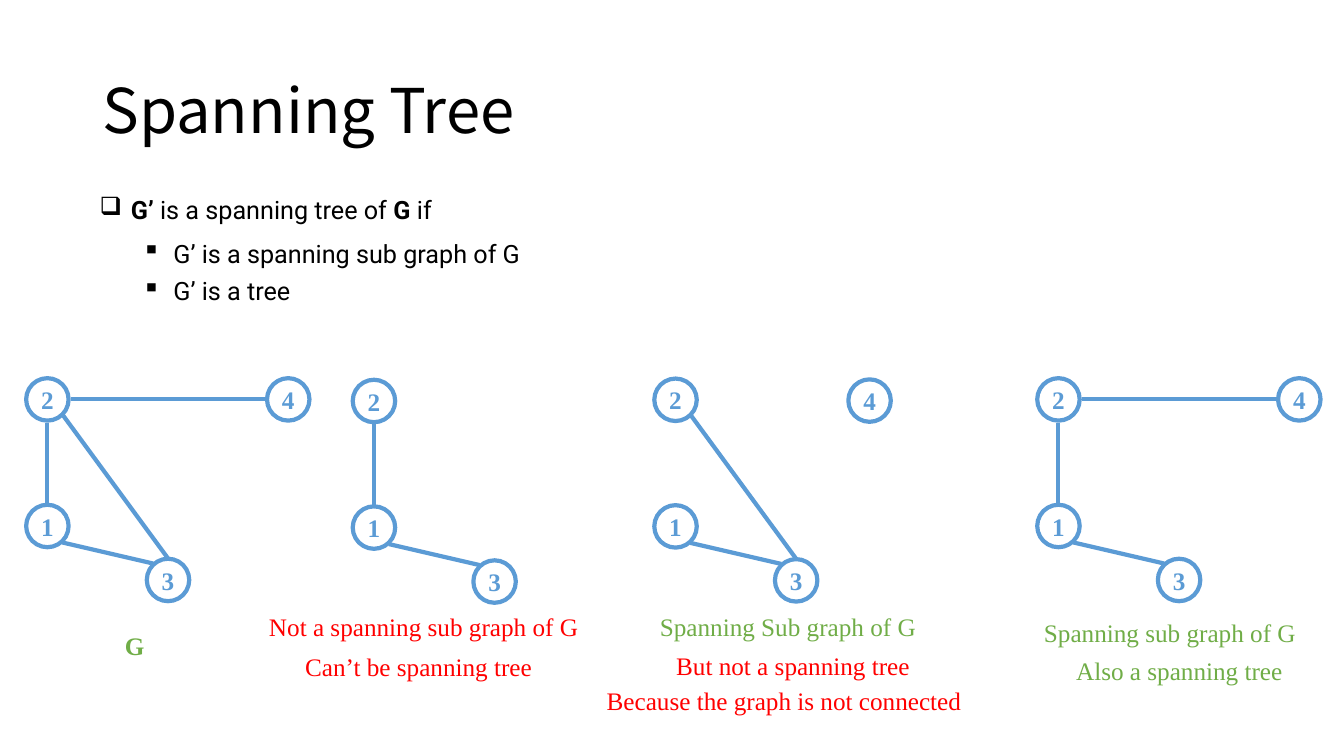
"""Builds a slide that compares a graph with spanning tree candidates."""
from lxml.etree import SubElement
from pptx import Presentation
from pptx.dml.color import RGBColor
from pptx.enum.shapes import MSO_CONNECTOR as Connector, MSO_SHAPE as Shape
from pptx.enum.text import MSO_ANCHOR as Anchor, MSO_AUTO_SIZE as AutoSize, PP_ALIGN as Align
from pptx.oxml.ns import qn
from pptx.util import Cm, Pt

COLORS = {"text": "000000", "graph": "5B9BD5", "right": "70AD47", "wrong": "FF0000"}
TITLE_FONT, BODY_FONT, GRAPH_FONT = "Noto Sans CJK SC", "Roboto", "Times New Roman"
BODY_SIZE = 18
LINE_HEIGHT = 1.02
INDENT = 0.79
NODE_SIZE = 1.07

TITLE = "Spanning Tree"
TITLE_BOX = (2.33, 1.02, 29.21, 3.68)

DEFINITION = [
    (2.26, 4.78, 8.97, "❑", [("G’ ", True), ("is a spanning tree of ", False),
                             ("G", True), (" if", False)]),
    (3.33, 5.87, 10.13, "▪", [("G’ is a spanning sub graph of G", False)]),
    (3.33, 6.81, 4.42, "▪", [("G’ is a tree", False)]),
]

NODES = {"1": (0, 3.19), "2": (0, 0), "3": (3.04, 4.55), "4": (6.07, 0)}
LONE_NODES = {**NODES, "4": (4.89, 0.02)}
EDGES = {
    "2-4": (1.12, 0.53, 6.05, 0.53),
    "1-2": (0.53, 3.15, 0.53, 1.12),
    "1-3": (0.91, 4.14, 3.2, 4.67),
    "2-3": (0.91, 0.91, 3.58, 4.55),
}
GRAPHS = [
    (0.66, 9.53, NODES, "1234", ["2-4", "1-2", "1-3", "2-3"]),
    (8.89, 9.57, NODES, "123", ["1-2", "1-3"]),
    (16.49, 9.54, LONE_NODES, "1234", ["1-3", "2-3"]),
    (26.14, 9.53, NODES, "1234", ["2-4", "1-2", "1-3"]),
]

VERDICTS = [
    (2.9, 15.75, 1.02, "G", "right", True),
    (6.53, 15.29, 8.38, "Not a spanning sub graph of G", "wrong", False),
    (7.44, 16.28, 6.3, "Can’t be spanning tree", "wrong", False),
    (16.38, 15.29, 7.04, "Spanning Sub graph of G", "right", False),
    (16.79, 16.26, 6.45, "But not a spanning tree", "wrong", False),
    (15.04, 17.15, 9.55, "Because the graph is not connected", "wrong", False),
    (26.06, 15.44, 6.93, "Spanning sub graph of G", "right", False),
    (26.87, 16.38, 5.77, "Also a spanning tree", "right", False),
]


def rgb(color):
    return RGBColor.from_string(COLORS[color])


def set_font(paragraph, name, size, color, bold=None):
    font = paragraph.font
    font.name, font.size, font.bold = name, Pt(size), bold
    font.color.rgb = rgb(color)


def add_line_of_text(slide, left, top, width):
    frame = slide.shapes.add_textbox(Cm(left), Cm(top), Cm(width), Cm(LINE_HEIGHT)).text_frame
    frame.word_wrap = False
    frame.auto_size = AutoSize.SHAPE_TO_FIT_TEXT
    return frame.paragraphs[0]


def add_title(slide):
    frame = slide.shapes.add_textbox(*map(Cm, TITLE_BOX)).text_frame
    frame.word_wrap = True
    frame.vertical_anchor = Anchor.MIDDLE
    heading = frame.paragraphs[0]
    heading.text = TITLE
    heading.line_spacing = 0.9
    set_font(heading, TITLE_FONT, 44, "text")


def add_definition(slide, left, top, width, bullet, parts):
    point = add_line_of_text(slide, left, top, width)
    properties = point._p.get_or_add_pPr()
    properties.set("marL", str(Cm(INDENT)))
    properties.set("indent", str(-Cm(INDENT)))
    SubElement(properties, qn("a:buChar"), char=bullet)
    set_font(point, BODY_FONT, BODY_SIZE, "text")
    for words, bold in parts:
        run = point.add_run()
        run.text = words
        run.font.bold = bold


def add_edge(slide, x1, y1, x2, y2):
    edge = slide.shapes.add_connector(Connector.STRAIGHT, Cm(x1), Cm(y1), Cm(x2), Cm(y2))
    edge.line.color.rgb = rgb("graph")
    edge.line.width = Pt(3)
    SubElement(edge._element.spPr, qn("a:effectLst"))


def add_node(slide, left, top, label):
    node = slide.shapes.add_shape(Shape.OVAL, Cm(left), Cm(top), Cm(NODE_SIZE), Cm(NODE_SIZE))
    node.shadow.inherit = False
    node.fill.background()
    node.line.color.rgb = rgb("graph")
    node.line.width = Pt(3)
    frame = node.text_frame
    frame.margin_left = frame.margin_right = frame.margin_top = frame.margin_bottom = 0
    frame.word_wrap = False
    frame.vertical_anchor = Anchor.MIDDLE
    number = frame.paragraphs[0]
    number.text = label
    number.alignment = Align.CENTER
    set_font(number, GRAPH_FONT, BODY_SIZE, "graph", True)


def add_graph(slide, left, top, places, labels, edges):
    for edge in edges:
        x1, y1, x2, y2 = EDGES[edge]
        add_edge(slide, left + x1, top + y1, left + x2, top + y2)
    for label in labels:
        x, y = places[label]
        add_node(slide, left + x, top + y, label)


def add_verdict(slide, left, top, width, words, color, bold):
    verdict = add_line_of_text(slide, left, top, width)
    verdict.text = words
    set_font(verdict, GRAPH_FONT, BODY_SIZE, color, bold)


def main():
    deck = Presentation()
    deck.slide_width, deck.slide_height = Cm(33.87), Cm(19.05)
    slide = deck.slides.add_slide(deck.slide_layouts[6])
    add_title(slide)
    for definition in DEFINITION:
        add_definition(slide, *definition)
    for graph in GRAPHS:
        add_graph(slide, *graph)
    for verdict in VERDICTS:
        add_verdict(slide, *verdict)
    deck.save("out.pptx")


if __name__ == "__main__":
    main()
